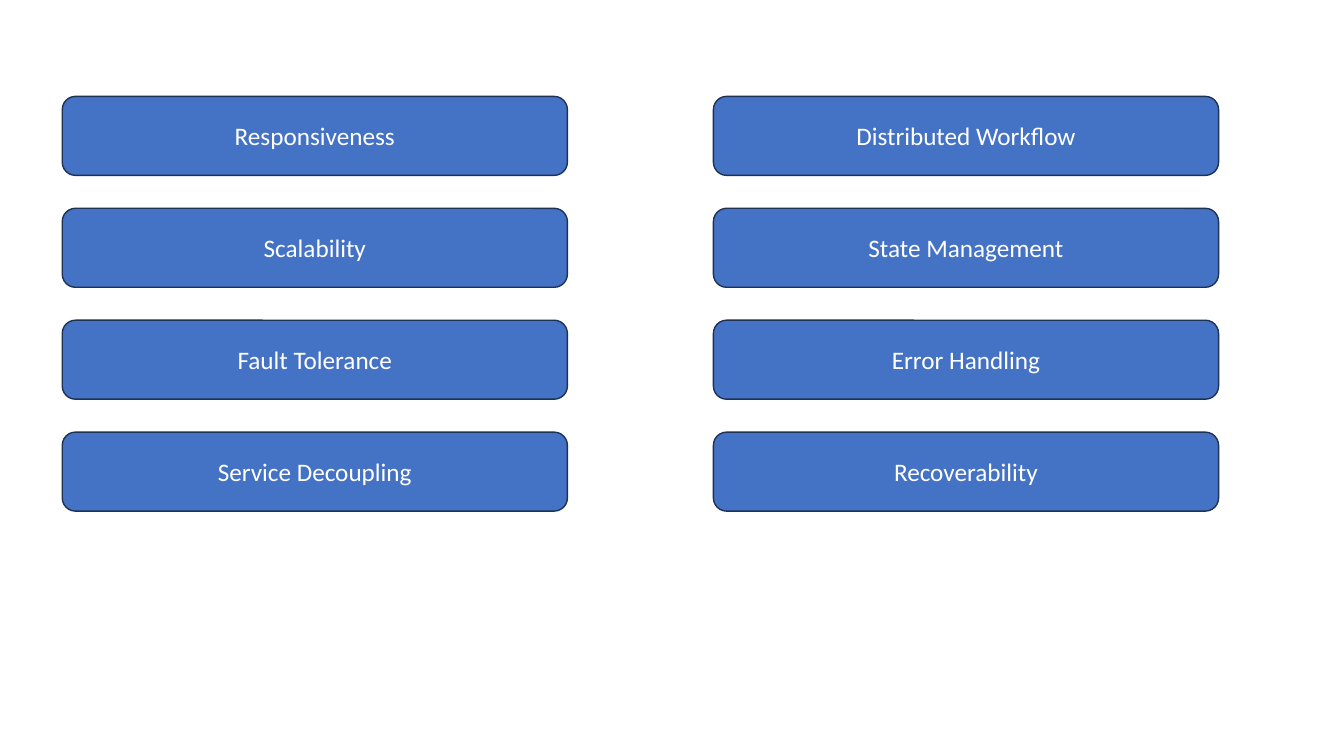
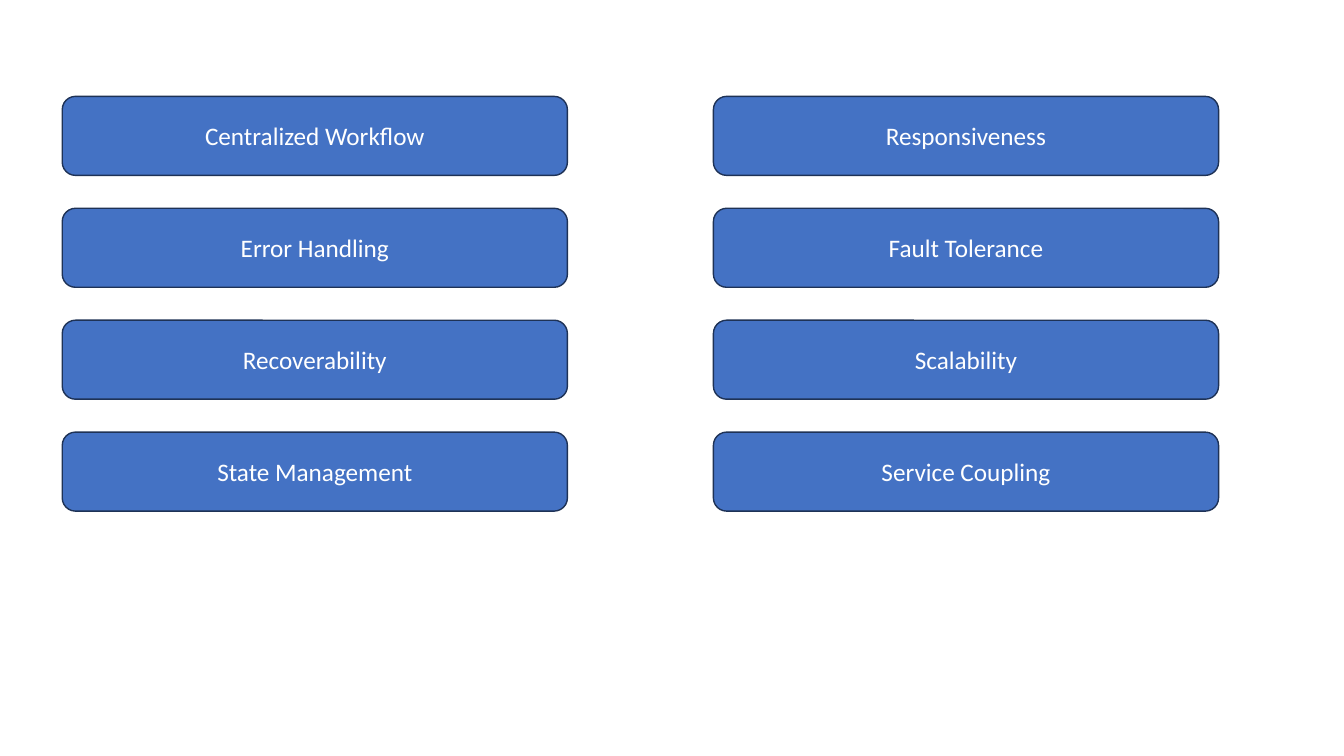
from pptx import Presentation
from pptx.dml.color import RGBColor
from pptx.enum.shapes import MSO_SHAPE
from pptx.enum.text import MSO_ANCHOR, PP_ALIGN
from pptx.util import Cm, Pt

COLOURS = {"fill": "4472C4", "outline": "1E3256", "text": "FFFFFF"}
FONT = "Calibri"
COLUMN_LEFTS = (1.57, 17.98)
COLUMN_TOP = 2.43
COLUMN_WIDTH = 12.73
BOX_HEIGHT = 1.99
BOX_PITCH = 2.82

SLIDES = [
    (
        ["Responsiveness", "Scalability", "Fault Tolerance", "Service Decoupling"],
        ["Distributed Workflow", "State Management", "Error Handling", "Recoverability"],
    ),
    (
        ["Centralized Workflow", "Error Handling", "Recoverability", "State Management"],
        ["Responsiveness", "Fault Tolerance", "Scalability", "Service Coupling"],
    ),
]


def colour(name):
    """Return the named colour of the deck."""
    return RGBColor.from_string(COLOURS[name])


def add_box(page, left, top, width, height, label):
    """Draw one rounded box with a centred label."""
    box = page.shapes.add_shape(
        MSO_SHAPE.FLOWCHART_ALTERNATE_PROCESS,
        Cm(left), Cm(top), Cm(width), Cm(height),
    )
    box.shadow.inherit = False
    box.fill.solid()
    box.fill.fore_color.rgb = colour("fill")
    box.line.color.rgb = colour("outline")
    box.line.width = Pt(1)
    frame = box.text_frame
    frame.word_wrap = True
    frame.vertical_anchor = MSO_ANCHOR.MIDDLE
    para = frame.paragraphs[0]
    para.alignment = PP_ALIGN.CENTER
    span = para.add_run()
    span.text = label
    span.font.name = FONT
    span.font.size = Pt(18)
    span.font.color.rgb = colour("text")


def add_column(page, left, top, width, labels):
    """Stack one box per label at an equal pitch."""
    for row, label in enumerate(labels):
        add_box(page, left, top + row * BOX_PITCH, width, BOX_HEIGHT, label)


def add_comparison(deck, columns):
    """Add a slide with two columns of boxes."""
    page = deck.slides.add_slide(deck.slide_layouts[6])
    for left, labels in zip(COLUMN_LEFTS, columns):
        add_column(page, left, COLUMN_TOP, COLUMN_WIDTH, labels)


def main():
    """Build and save the deck."""
    deck = Presentation()
    deck.slide_width = Cm(33.87)
    deck.slide_height = Cm(19.05)
    for columns in SLIDES:
        add_comparison(deck, columns)
    deck.save("out.pptx")


if __name__ == "__main__":
    main()
